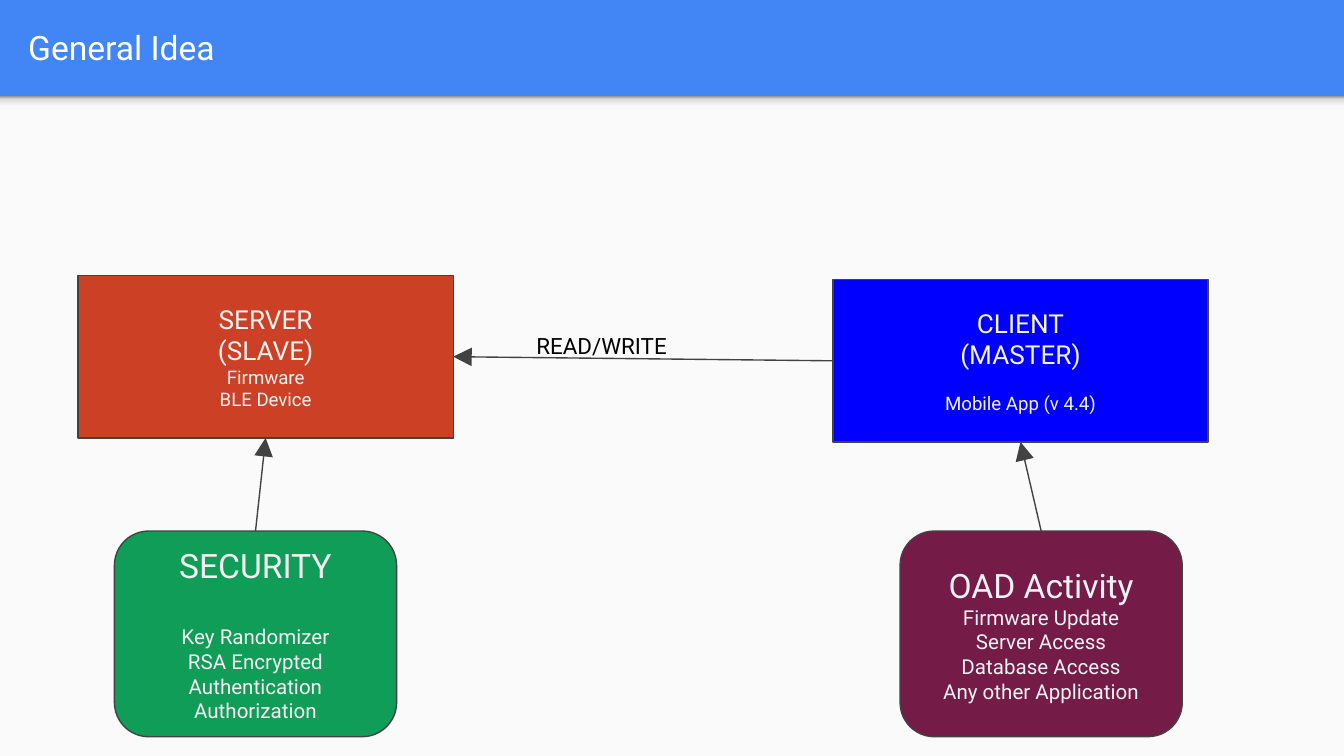
from lxml import etree
from pptx import Presentation
from pptx.dml.color import RGBColor
from pptx.enum import shapes, text
from pptx.oxml import ns
from pptx.util import Pt

COLORS = {
    "header": "4285F4", "panel": "FAFAFA", "outline": "424242",
    "server": "CC4125", "client": "0000FF", "security": "0F9D58",
    "activity": "741B47", "title": "FFFFFF", "box_text": "F3F3F3", "label": "000000",
}
SHADOW_STOPS = [(0, "F9F9F9"), (36, "F9F9F9"), (80, "DEDEDE"), (100, "999999")]
FONT = "Roboto"
RECT = shapes.MSO_SHAPE.RECTANGLE
ROUNDED = shapes.MSO_SHAPE.ROUNDED_RECTANGLE
TOP, LEFT, BOTTOM, RIGHT = range(4)  # connection sites of a rectangle


def color(name):
    return RGBColor.from_string(COLORS[name])


def add_run(paragraph, words, size, color_name):
    run = paragraph.add_run()
    run.text = words
    run.font.name = FONT
    run.font.size = Pt(size)
    run.font.color.rgb = color(color_name)


def format_frame(frame, anchor):
    frame.word_wrap = True
    frame.auto_size = text.MSO_AUTO_SIZE.NONE
    frame.vertical_anchor = anchor
    frame.margin_left = frame.margin_right = Pt(7.2)
    frame.margin_top = frame.margin_bottom = Pt(7.2)


def add_plain_shape(slide, kind, bounds):
    shape = slide.shapes.add_shape(kind, *map(Pt, bounds))
    shape.shadow.inherit = False
    shape.line.fill.background()
    return shape


def add_background(slide):
    slide.background.fill.solid()
    slide.background.fill.fore_color.rgb = color("header")
    panel = add_plain_shape(slide, RECT, (0, 51.6, 720, 353.4))
    panel.fill.solid()
    panel.fill.fore_color.rgb = color("panel")

    header_shadow = add_plain_shape(slide, RECT, (0, 51.6, 720, 8.6))
    header_shadow.fill.gradient()
    header_shadow.fill.gradient_angle = 90
    stops = header_shadow._element.spPr.find(".//" + ns.qn("a:gsLst"))
    for stop in list(stops):
        stops.remove(stop)
    for position, value in SHADOW_STOPS:
        stop = etree.SubElement(stops, ns.qn("a:gs"), pos=str(position * 1000))
        etree.SubElement(stop, ns.qn("a:srgbClr"), val=value)


def add_title(slide, words):
    title = slide.shapes.title
    title.left, title.top, title.width, title.height = map(Pt, (7.9, 1.4, 695, 47.5))
    format_frame(title.text_frame, text.MSO_ANCHOR.MIDDLE)
    paragraph = title.text_frame.paragraphs[0]
    paragraph.alignment = text.PP_ALIGN.LEFT
    add_run(paragraph, words, 18, "title")


def add_box(slide, kind, bounds, fill, heading, details, sizes, gap=0):
    """Add a box with heading lines above smaller detail lines, gap points apart."""
    box = add_plain_shape(slide, kind, bounds)
    box.fill.solid()
    box.fill.fore_color.rgb = color(fill)
    box.line.color.rgb = color("outline")
    box.line.width = Pt(0.75)
    frame = box.text_frame
    format_frame(frame, text.MSO_ANCHOR.MIDDLE)
    lines = [(line, sizes[0]) for line in heading] + [(line, sizes[1]) for line in details]
    for index, (line, size) in enumerate(lines):
        paragraph = frame.add_paragraph() if index else frame.paragraphs[0]
        paragraph.alignment = text.PP_ALIGN.CENTER
        if gap and index == len(heading):
            paragraph.space_before = Pt(gap)
        add_run(paragraph, line, size, "box_text")
    return box


def add_arrow(slide, source, source_site, target, target_site):
    arrow = slide.shapes.add_connector(shapes.MSO_CONNECTOR.STRAIGHT, 0, 0, 0, 0)
    arrow.begin_connect(source, source_site)
    arrow.end_connect(target, target_site)
    arrow.line.color.rgb = color("outline")
    arrow.line.width = Pt(0.75)
    etree.SubElement(arrow.line._get_or_add_ln(), ns.qn("a:tailEnd"),
                     type="triangle", w="lg", len="lg")
    etree.SubElement(arrow._element.spPr, ns.qn("a:effectLst"))


def add_label(slide, words, bounds):
    label = slide.shapes.add_textbox(*map(Pt, bounds))
    format_frame(label.text_frame, text.MSO_ANCHOR.TOP)
    add_run(label.text_frame.paragraphs[0], words, 12, "label")


def main():
    presentation = Presentation()
    presentation.slide_width, presentation.slide_height = Pt(720), Pt(405)
    slide = presentation.slides.add_slide(presentation.slide_layouts[5])
    add_background(slide)
    add_title(slide, "General Idea")

    server = add_box(slide, RECT, (41.8, 147.6, 201, 87), "server",
                     ["SERVER", "(SLAVE)"], ["Firmware", "BLE Device"], (14, 10))
    client = add_box(slide, RECT, (446.2, 149.8, 201, 87), "client",
                     ["CLIENT", "(MASTER)"], ["Mobile App (v 4.4)"], (14, 10), gap=12)
    security = add_box(slide, ROUNDED, (61.3, 284.5, 151.2, 110.2), "security", ["SECURITY"],
                       ["Key Randomizer", "RSA Encrypted", "Authentication", "Authorization"],
                       (18, 11), gap=21)
    activity = add_box(slide, ROUNDED, (482.2, 284.5, 151.2, 110.2), "activity", ["OAD Activity"],
                       ["Firmware Update", "Server Access", "Database Access",
                        "Any other Application"], (18, 11))

    add_arrow(slide, client, LEFT, server, RIGHT)
    add_label(slide, "READ/WRITE", (280.3, 170.6, 129.6, 14.4))
    add_arrow(slide, security, TOP, server, BOTTOM)
    add_arrow(slide, activity, TOP, client, BOTTOM)
    presentation.save("out.pptx")


if __name__ == "__main__":
    main()
